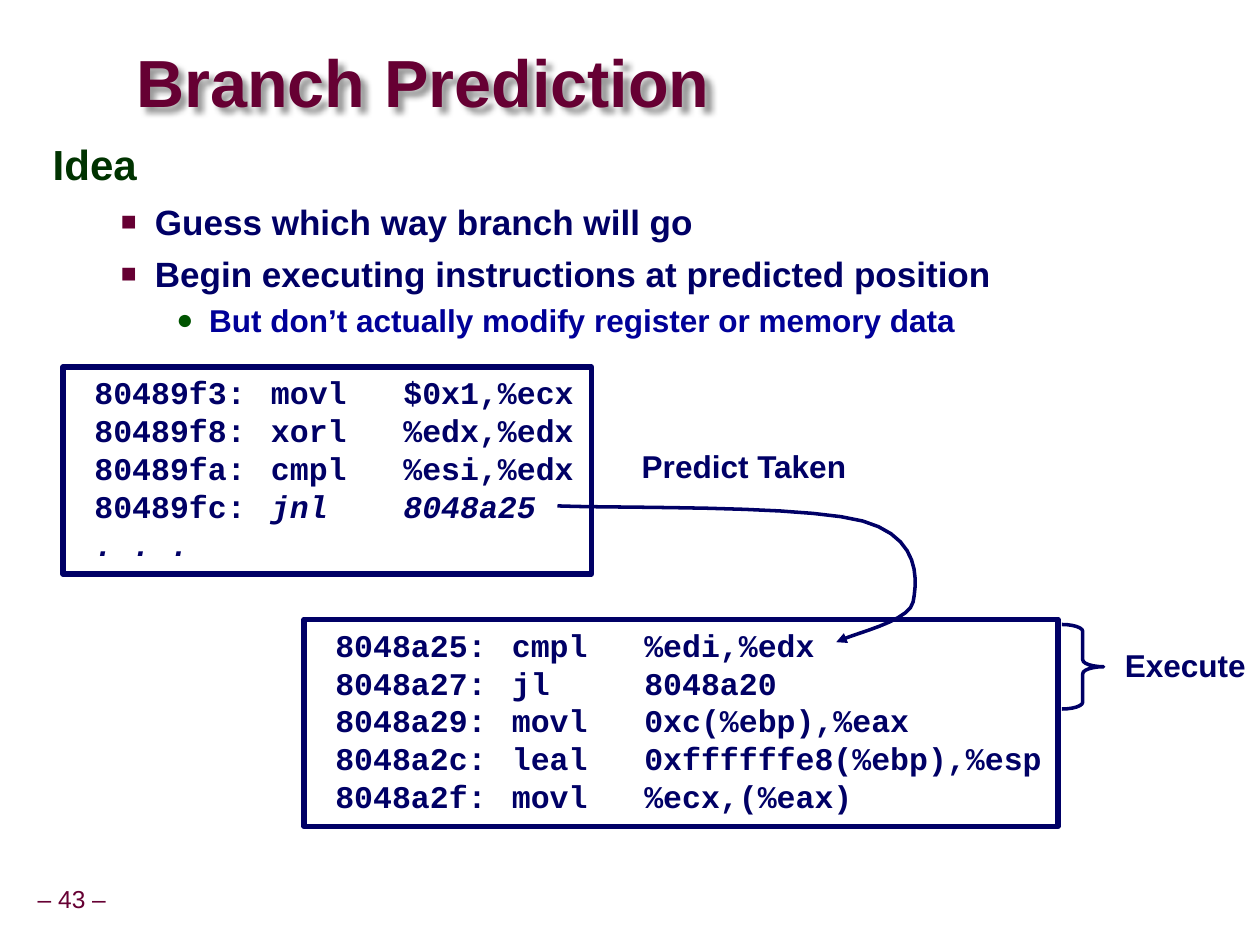
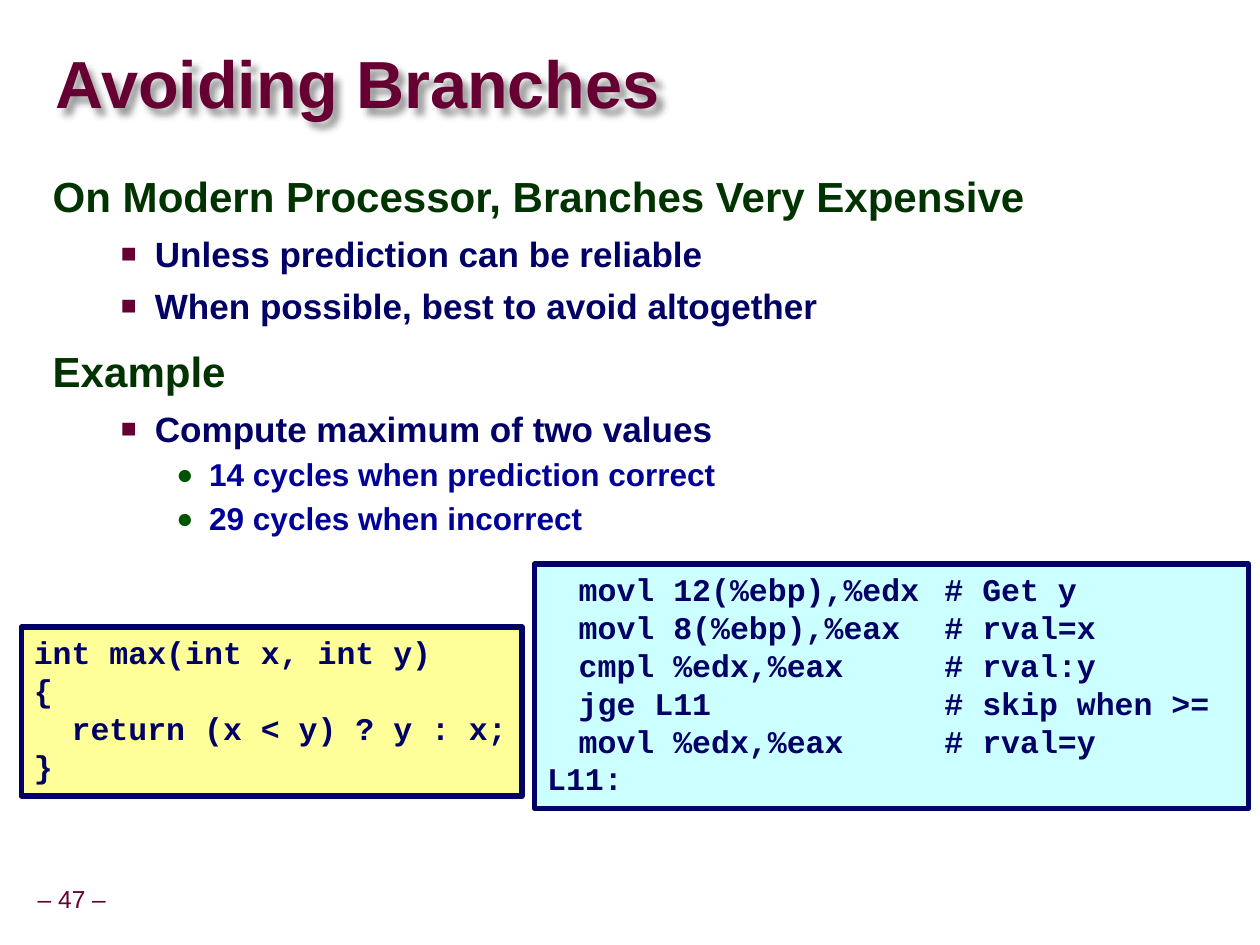
from lxml.etree import SubElement as Sub
from pptx import Presentation
from pptx.dml.color import RGBColor as RGB
from pptx.enum.shapes import MSO_SHAPE as Shape
from pptx.enum.text import MSO_ANCHOR as Anchor, MSO_AUTO_SIZE as Fit, PP_ALIGN as Align
from pptx.oxml.ns import qn
from pptx.util import Inches, Pt

HUES = {"wine": "660033", "pine": "003300", "leaf": "005400", "navy": "000066",
        "blue": "000099", "cream": "FFFF99", "aqua": "CCFFFF"}

# Body levels: size, colour, indent, hang, line spacing, space before, bullet (mark, colour, percent)
LEVELS = [
    (24, "pine", 0.42, 0.42, 0.95, 13, None),
    (20, "navy", 0.81, 0.27, 1, 5.75, ("■", "wine", 75)),
    (18, "blue", 1.24, 0.26, 1.07, 2, ("●", "leaf", 90)),
]

# Code boxes: place, fill, tab stops, lines; text after "|" is italic
ADDR, NOTE = (0.74, 1.55, 3.9, 5.07), (0.25, 3.15, 3.9, 5.07)
PAGES = [
    {"num": 43, "title": "Branch Prediction", "spot": (1.08, 0.37, 6.15, 0.63),
     "body": (0.32, 1.08, 9.07, 2.23),
     "items": [
         (0, "Idea"),
         (1, "Guess which way branch will go"),
         (1, "Begin executing instructions at predicted position"),
         (2, "But don’t actually modify register or memory data")],
     "code": [
         ((0.5, 2.91, 4.19, 1.64), None, ADDR, [
             " 80489f3:\tmovl   $0x1,%ecx",
             " 80489f8:\txorl   %edx,%edx",
             " 80489fa:\tcmpl   %esi,%edx",
             " 80489fc:\t|jnl    8048a25",
             "| . . ."]),
         ((2.41, 4.91, 5.98, 1.64), None, ADDR, [
             " 8048a25:\tcmpl   %edi,%edx",
             " 8048a27:\tjl     8048a20",
             " 8048a29:\tmovl   0xc(%ebp),%eax",
             " 8048a2c:\tleal   0xffffffe8(%ebp),%esp",
             " 8048a2f:\tmovl   %ecx,(%eax)"])]},
    {"num": 47, "title": "Avoiding Branches", "spot": (0.44, 0.27, 9.52, 0.85),
     "body": (0.32, 1.33, 9.07, 2.49),
     "items": [
         (0, "On Modern Processor, Branches Very Expensive"),
         (1, "Unless prediction can be reliable"),
         (1, "When possible, best to avoid altogether"),
         (0, "Example"),
         (1, "Compute maximum of two values"),
         (2, "14 cycles when prediction correct"),
         (2, "29 cycles when incorrect")],
     "code": [
         ((0.17, 4.97, 3.97, 1.34), "cream", ADDR, [
             "int max(int x, int y)",
             "{",
             "  return (x < y) ? y : x;",
             "}"]),
         ((4.24, 4.47, 5.66, 1.94), "aqua", NOTE, [
             "\tmovl 12(%ebp),%edx\t# Get y",
             "\tmovl 8(%ebp),%eax\t# rval=x",
             "\tcmpl %edx,%eax\t# rval:y",
             "\tjge L11\t# skip when >=",
             "\tmovl %edx,%eax\t# rval=y",
             "L11:"])]},
]


def write(para, text, size, hue, bold=True, face="Arial", slant=False):
    run = para.add_run()
    run.text = text
    font = run.font
    font.name, font.size, font.bold = face, Pt(size), bold
    if slant:
        font.italic = True
    font.color.rgb = RGB.from_string(HUES[hue])


def label(slide, place, text, size, hue, bold=True):
    box = slide.shapes.add_textbox(*map(Inches, place))
    box.text_frame.word_wrap = False
    write(box.text_frame.paragraphs[0], text, size, hue, bold)
    return box.text_frame


deck = Presentation()
deck.slide_width, deck.slide_height = Inches(9.99), Inches(7.49)
slides = []

for page in PAGES:
    slide = deck.slides.add_slide(deck.slide_layouts[5])
    slides.append(slide)

    # Title with a soft shadow
    title = slide.shapes.title
    title.left, title.top, title.width, title.height = map(Inches, page["spot"])
    frame = title.text_frame
    frame.margin_left = frame.margin_right = frame.margin_top = frame.margin_bottom = 0
    frame.vertical_anchor, frame.auto_size, frame.word_wrap = Anchor.MIDDLE, Fit.NONE, True
    para = frame.paragraphs[0]
    para.alignment, para.line_spacing = Align.LEFT, 0.87
    write(para, page["title"], 38, "wine")
    title.fill.background()
    glow = Sub(Sub(title._element.spPr, qn("a:effectLst")), qn("a:outerShdw"),
               blurRad=str(Inches(0.05)), dist=str(Inches(0.06)), dir="2700000")
    tint = Sub(glow, qn("a:srgbClr"), val="000000")
    Sub(tint, qn("a:alpha"), val="40000")

    # Page number
    foot = label(slide, (0.23, 6.98, 0.68, 0.32), f"– {page['num']} –", 14, "wine", False)
    foot.margin_left = foot.margin_right = Inches(0.05)
    foot.vertical_anchor = Anchor.MIDDLE
    foot.paragraphs[0].alignment, foot.paragraphs[0].line_spacing = Align.CENTER, 0.9

    # Outline
    frame = slide.shapes.add_textbox(*map(Inches, page["body"])).text_frame
    frame.word_wrap = True
    for i, (level, text) in enumerate(page["items"]):
        size, hue, left, hang, line, gap, mark = LEVELS[level]
        para = frame.add_paragraph() if i else frame.paragraphs[0]
        para.level = level
        props = para._p.get_or_add_pPr()
        props.set("marL", str(Inches(left)))
        props.set("indent", str(-Inches(hang)))
        if mark:
            char, shade, share = mark
            Sub(Sub(props, qn("a:buClr")), qn("a:srgbClr"), val=HUES[shade])
            Sub(props, qn("a:buSzPct"), val=str(share * 1000))
            Sub(props, qn("a:buFont"), typeface="Arial")
            Sub(props, qn("a:buChar"), char=char)
        para.line_spacing = line
        para.space_before = Pt(gap if i else 0)
        write(para, text, size, hue)

    # Code boxes
    for place, fill, stops, lines in page["code"]:
        box = slide.shapes.add_shape(Shape.RECTANGLE, *map(Inches, place))
        box.shadow.inherit = False
        if fill:
            box.fill.solid()
            box.fill.fore_color.rgb = RGB.from_string(HUES[fill])
        else:
            box.fill.background()
        box.line.color.rgb, box.line.width = RGB.from_string(HUES["navy"]), Pt(3)
        frame = box.text_frame
        frame.word_wrap, frame.vertical_anchor = True, Anchor.TOP
        for i, text in enumerate(lines):
            para = frame.add_paragraph() if i else frame.paragraphs[0]
            tabs = Sub(para._p.get_or_add_pPr(), qn("a:tabLst"))
            for stop in stops:
                Sub(tabs, qn("a:tab"), pos=str(Inches(stop)), algn="l")
            para.alignment, para.line_spacing = Align.LEFT, Pt(21.6)
            plain, _, slant = text.partition("|")
            if plain:
                write(para, plain, 18, "navy", face="Courier New")
            if slant:
                write(para, slant, 18, "navy", face="Courier New", slant=True)

# Labels for the predicted path
slide = slides[0]
label(slide, (4.99, 3.49, 1.84, 0.4), "Predict Taken", 18, "navy")
label(slide, (8.82, 5.07, 1.17, 0.4), "Execute", 18, "navy")

# Curved arrow from the jump to its target, as three Bézier arcs
knots = [(4.42, 4.01), (4.83, 4.03), (6.37, 4), (6.84, 4.13), (7.31, 4.26),
         (7.27, 4.61), (7.24, 4.77), (7.21, 4.93), (6.76, 5.02), (6.63, 5.09)]
STEPS = 10
dots = []
for k in range(0, 9, 3):
    for n in range(1, STEPS + 1):
        t = n / STEPS
        parts = ((1 - t) ** 3, 3 * t * (1 - t) ** 2, 3 * t * t * (1 - t), t ** 3)
        dots.append(tuple(Inches(sum(w * knot[axis] for w, knot in zip(parts, knots[k:k + 4])))
                          for axis in (0, 1)))
pen = slide.shapes.build_freeform(*map(Inches, knots[0]))
pen.add_line_segments(dots, close=False)
arrow = pen.convert_to_shape()

# Brace beside the executed lines
brace = slide.shapes.add_shape(Shape.RIGHT_BRACE, *map(Inches, (8.42, 4.95, 0.33, 0.67)))
brace.adjustments[0], brace.adjustments[1] = 0.167, 0.5
for item in (arrow, brace):
    item.shadow.inherit = False
    item.fill.background()
    item.line.color.rgb, item.line.width = RGB.from_string(HUES["navy"]), Pt(2)
Sub(arrow.line._get_or_add_ln(), qn("a:tailEnd"), type="triangle")

deck.save("out.pptx")
